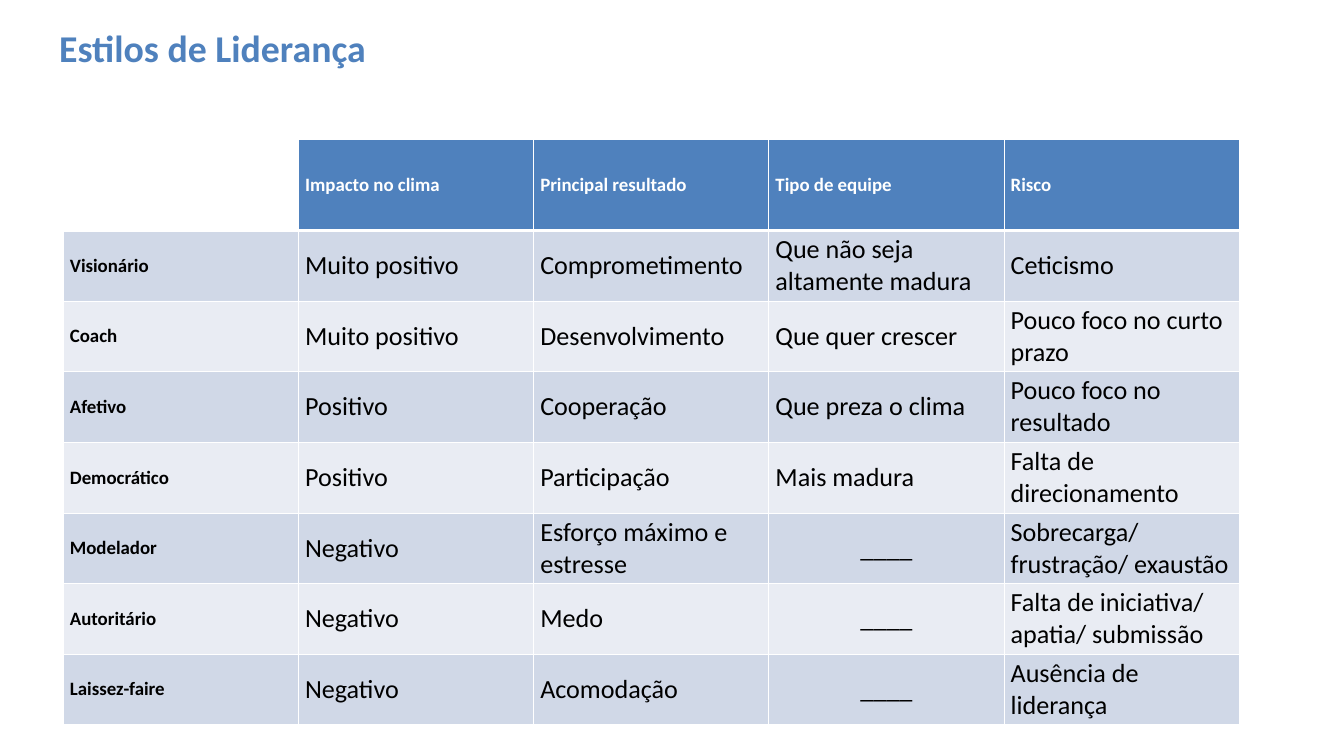
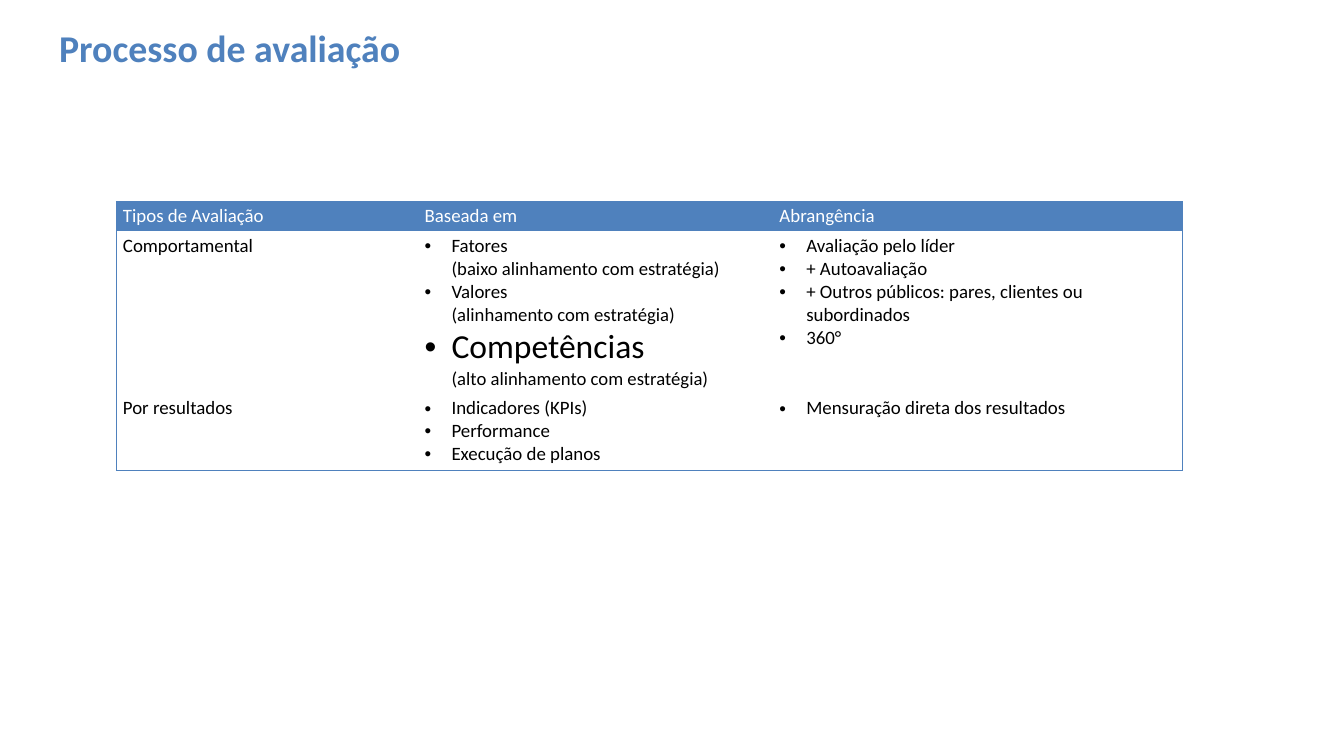
import lxml.etree
import pptx
import pptx.dml.color
import pptx.enum.text
import pptx.oxml.ns
import pptx.util

RGB = pptx.dml.color.RGBColor
ALIGN = pptx.enum.text.PP_ALIGN
ANCHOR = pptx.enum.text.MSO_ANCHOR
qn = pptx.oxml.ns.qn

BLUE = RGB(0x4F, 0x81, 0xBD)
WHITE = RGB(0xFF, 0xFF, 0xFF)
BLACK = RGB(0x00, 0x00, 0x00)
BANDS = [RGB(0xD0, 0xD8, 0xE7), RGB(0xE9, 0xEC, 0xF3)]
FONT = "Calibri"
SMALL = 20.2
LARGE = 28
THIN = 0.96
THICK = 3
PLAIN = "{2D5ABB26-0587-4C30-8999-92F81FD0307C}"
DASH = "____"

STYLES = [
    ["", "Impacto no clima", "Principal resultado", "Tipo de equipe", "Risco"],
    ["Visionário", "Muito positivo", "Comprometimento", "Que não seja altamente madura", "Ceticismo"],
    ["Coach", "Muito positivo", "Desenvolvimento", "Que quer crescer", "Pouco foco no curto prazo"],
    ["Afetivo", "Positivo", "Cooperação", "Que preza o clima", "Pouco foco no resultado"],
    ["Democrático", "Positivo", "Participação", "Mais madura", "Falta de direcionamento"],
    ["Modelador", "Negativo", "Esforço máximo e estresse", DASH, "Sobrecarga/ frustração/ exaustão"],
    ["Autoritário", "Negativo", "Medo", DASH, "Falta de iniciativa/ apatia/ submissão"],
    ["Laissez-faire", "Negativo", "Acomodação", DASH, "Ausência de liderança"],
]

HEADS = ["Tipos de Avaliação", "Baseada em", "Abrangência"]
KINDS = [
    ("Comportamental",
     [("Fatores", SMALL, "(baixo alinhamento com estratégia)"),
      ("Valores", SMALL, "(alinhamento com estratégia)"),
      ("Competências", 36, "(alto alinhamento com estratégia)")],
     ["Avaliação pelo líder", "+ Autoavaliação",
      "+ Outros públicos: pares, clientes ou subordinados", "360°"]),
    ("Por resultados",
     ["Indicadores (KPIs)", "Performance", "Execução de planos"],
     ["Mensuração direta dos resultados"]),
]


def px(count):
    """Turn px, 100 to the inch, into EMU."""
    return pptx.util.Emu(count * 9144)


def style(para, size, color, bold=False):
    """Set the font of a paragraph."""
    font = para.font
    font.name, font.size, font.bold = FONT, pptx.util.Pt(size), bold
    font.color.rgb = color


def start(deck, text):
    """Add a slide with the shared title."""
    slide = deck.slides.add_slide(deck.slide_layouts[5])
    title = slide.shapes.title
    title.left, title.top, title.width, title.height = map(px, (78, 35, 1365, 71))
    frame = title.text_frame
    frame.text = text
    frame.vertical_anchor = ANCHOR.MIDDLE
    frame.auto_size = pptx.enum.text.MSO_AUTO_SIZE.NONE
    para = frame.paragraphs[0]
    para.alignment = ALIGN.LEFT
    style(para, 40.5, BLUE, True)
    return slide


def grid(slide, left, top, cols, rows):
    """Add an unstyled table with the given column widths and row heights."""
    frame = slide.shapes.add_table(
        len(rows), len(cols), px(left), px(top), px(sum(cols)), px(sum(rows)))
    table = frame.table
    table.first_row = table.horz_banding = False
    for mark in frame.element.iter(qn("a:tableStyleId")):
        mark.text = PLAIN
    for col, width in zip(table.columns, cols):
        col.width = px(width)
    for row, height in zip(table.rows, rows):
        row.height = px(height)
    return table


def edge(cell, color, sides):
    """Draw cell borders from a map of side letters to widths."""
    props = cell._tc.get_or_add_tcPr()
    for side in "LRTB":
        if side in sides:
            line = lxml.etree.SubElement(
                props, qn("a:ln" + side), w=str(pptx.util.Pt(sides[side])))
            fill = lxml.etree.SubElement(line, qn("a:solidFill"))
            lxml.etree.SubElement(fill, qn("a:srgbClr"), val=str(color))


def paint(cell, color):
    """Fill a cell."""
    cell.fill.solid()
    cell.fill.fore_color.rgb = color


def bullet(para):
    """Give a paragraph a hanging black bullet."""
    props = para._p.get_or_add_pPr()
    props.set("marL", str(px(40)))
    props.set("indent", str(px(-40)))
    color = lxml.etree.SubElement(props, qn("a:buClr"))
    lxml.etree.SubElement(color, qn("a:srgbClr"), val=str(BLACK))
    lxml.etree.SubElement(props, qn("a:buFont"), typeface="Arial")
    lxml.etree.SubElement(props, qn("a:buChar"), char="•")


def listing(cell, items):
    """Write bulleted items, some with a note on a second line."""
    frame = cell.text_frame
    for place, item in enumerate(items):
        para = frame.add_paragraph() if place else frame.paragraphs[0]
        bullet(para)
        style(para, SMALL, BLACK)
        if isinstance(item, str):
            para.add_run().text = item
            continue
        name, size, note = item
        head = para.add_run()
        head.text, head.font.size = name, pptx.util.Pt(size)
        para.add_line_break()
        tail = para.add_run()
        tail.text, tail.font.size = note, pptx.util.Pt(20)


def styles(slide, left, top):
    """Build the banded table of leadership styles."""
    table = grid(slide, left, top, [350] * 5, [135] + [105] * 7)
    for r, row in enumerate(STYLES):
        for c, text in enumerate(row):
            cell = table.cell(r, c)
            sides = dict.fromkeys("LRTB", THIN)
            if r < 2:
                sides["T" if r else "B"] = THICK
            edge(cell, WHITE, sides)
            if r:
                paint(cell, BANDS[(r - 1) % 2])
            else:
                paint(cell, BLUE if c else WHITE)
            cell.vertical_anchor = ANCHOR.MIDDLE
            cell.text = text
            para = cell.text_frame.paragraphs[0]
            head = r == 0 or c == 0
            style(para, SMALL if head else LARGE, BLACK if r else WHITE, head)
            if text == DASH:
                para.alignment = ALIGN.CENTER


def kinds(slide, left, top):
    """Build the outlined table of evaluation types."""
    table = grid(slide, left, top, [449, 528, 609], [44, 241, 114])
    for r in range(3):
        for c in range(3):
            ends = {"L": c == 0, "R": c == 2, "T": r == 0, "B": r == 2}
            cell = table.cell(r, c)
            edge(cell, BLUE, {side: THIN for side, end in ends.items() if end})
            if r == 0:
                paint(cell, BLUE)
            else:
                cell.fill.background()
            if r and c:
                listing(cell, KINDS[r - 1][c])
            else:
                cell.text = KINDS[r - 1][0] if r else HEADS[c]
                style(cell.text_frame.paragraphs[0], SMALL, BLACK if r else WHITE)


def main():
    """Build and save the deck."""
    deck = pptx.Presentation()
    deck.slide_width, deck.slide_height = px(2000), px(1125)
    styles(start(deck, "Estilos de Liderança"), 94, 208)
    kinds(start(deck, "Processo de avaliação"), 173, 300)
    deck.save("out.pptx")


if __name__ == "__main__":
    main()
